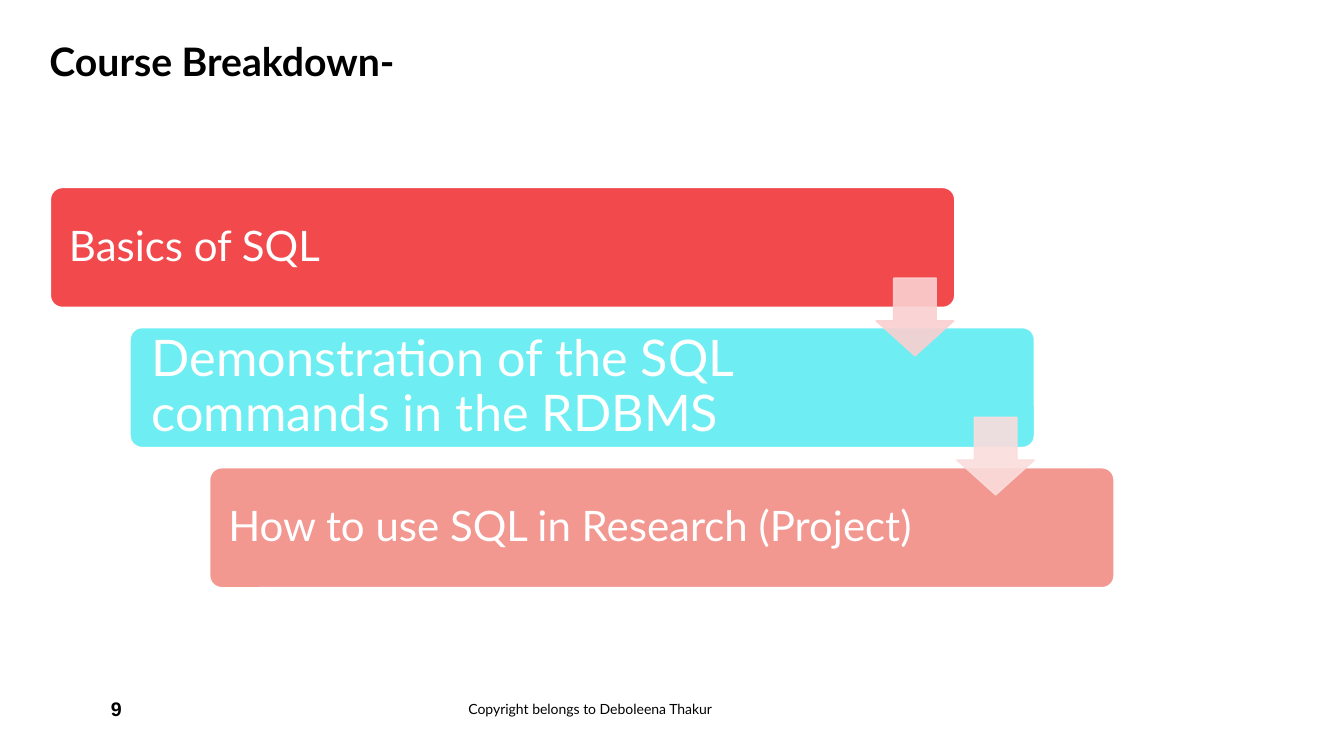
"""Build the course breakdown slide with three staggered steps."""
from dataclasses import dataclass

from lxml.etree import SubElement
from pptx import Presentation
from pptx.dml.color import RGBColor
from pptx.enum.shapes import MSO_SHAPE
from pptx.enum.text import MSO_ANCHOR, PP_ALIGN
from pptx.oxml.ns import qn
from pptx.util import Inches, Pt

COLORS = {
    "black": "000000", "white": "FFFFFF",
    "red": "F2494C", "cyan": "6EEEF2", "salmon": "F39891",
    "blush": "FAD0D0", "pale": "FADDDC",
}
CARD_LEFT, CARD_TOP, CARD_WIDTH, CARD_HEIGHT = 0.5, 1.86, 8.97, 1.19
STEP_X, STEP_Y = 0.79, 1.39
ARROW_LEFT, ARROW_TOP, ARROW_SIZE = 8.69, 2.76, 0.77
ARROW_STEP_X, ARROW_STEP_Y = 0.8, 1.38


@dataclass
class Step:
    text: str
    color: str
    size: int
    inset: float
    text_width: float


@dataclass
class Footer:
    text: str
    left: float
    width: float
    size: int
    font: str
    bold: bool
    align: PP_ALIGN


STEPS = [
    Step("Basics of SQL", "red", 30, 0.12, 7.68),
    Step("Demonstration of the SQL commands in the RDBMS", "cyan", 36, 0.15, 7.33),
    Step("How to use SQL in Research (Project)", "salmon", 30, 0.12, 7.33),
]
ARROW_COLORS = ["blush", "pale"]
FOOTERS = [
    Footer("Copyright belongs to Deboleena Thakur", 4.16, 3, 10, "Lato", False, PP_ALIGN.RIGHT),
    Footer("9", 1, 2.92, 14, "Arial", True, PP_ALIGN.LEFT),
]


def rgb(name: str) -> RGBColor:
    return RGBColor.from_string(COLORS[name])


def write(shape, text: str, size: int, color: str, font: str = "Lato",
          bold: bool = False, align: PP_ALIGN = PP_ALIGN.LEFT):
    frame = shape.text_frame
    frame.word_wrap = True
    frame.text = text
    para = frame.paragraphs[0]
    para.alignment = align
    span = para.runs[0]
    span.font.name = font
    span.font.size = Pt(size)
    span.font.bold = bold
    span.font.color.rgb = rgb(color)
    return para


def add_filled(page, kind: MSO_SHAPE, area: tuple, fill: str, line: str):
    shape = page.shapes.add_shape(kind, *map(Inches, area))
    shape.shadow.inherit = False
    shape.fill.solid()
    shape.fill.fore_color.rgb = rgb(fill)
    shape.line.color.rgb = rgb(line)
    shape.line.width = Pt(1)
    return shape


def add_card(page, index: int, step: Step) -> None:
    area = (CARD_LEFT + index * STEP_X, CARD_TOP + index * STEP_Y, CARD_WIDTH, CARD_HEIGHT)
    card = add_filled(page, MSO_SHAPE.ROUNDED_RECTANGLE, area, step.color, "white")
    card.adjustments[0] = 0.1
    frame = card.text_frame
    frame.vertical_anchor = MSO_ANCHOR.MIDDLE
    frame.margin_left = Inches(step.inset + 0.03)
    frame.margin_right = Inches(CARD_WIDTH - step.text_width - 0.03 + step.inset)
    frame.margin_top = frame.margin_bottom = Inches(step.inset)
    write(card, step.text, step.size, "white").line_spacing = 0.9


def add_arrow(page, index: int, color: str) -> None:
    area = (ARROW_LEFT + index * ARROW_STEP_X, ARROW_TOP + index * ARROW_STEP_Y,
            ARROW_SIZE, ARROW_SIZE)
    arrow = add_filled(page, MSO_SHAPE.DOWN_ARROW, area, color, color)
    arrow.adjustments[0] = 0.55
    arrow.adjustments[1] = 0.45
    for tint in arrow.element.spPr.iter(qn("a:srgbClr")):
        SubElement(tint, qn("a:alpha"), val="90000")


def add_footer(page, footer: Footer) -> None:
    box = page.shapes.add_textbox(*map(Inches, (footer.left, 6.83, footer.width, 0.4)))
    box.text_frame.vertical_anchor = MSO_ANCHOR.MIDDLE
    write(box, footer.text, footer.size, "black", footer.font, footer.bold, footer.align)


def main() -> None:
    deck = Presentation()
    deck.slide_width, deck.slide_height = Inches(13.33), Inches(7.5)
    page = deck.slides.add_slide(deck.slide_layouts[5])

    title = page.shapes.title
    title.left, title.top, title.width, title.height = map(Inches, (0.39, 0.32, 5.92, 0.57))
    title.text_frame.vertical_anchor = MSO_ANCHOR.TOP
    write(title, "Course Breakdown-", 28, "black", bold=True)

    for index, step in enumerate(STEPS):
        add_card(page, index, step)
    for index, color in enumerate(ARROW_COLORS):
        add_arrow(page, index, color)
    for footer in FOOTERS:
        add_footer(page, footer)
    deck.save("out.pptx")


if __name__ == "__main__":
    main()
